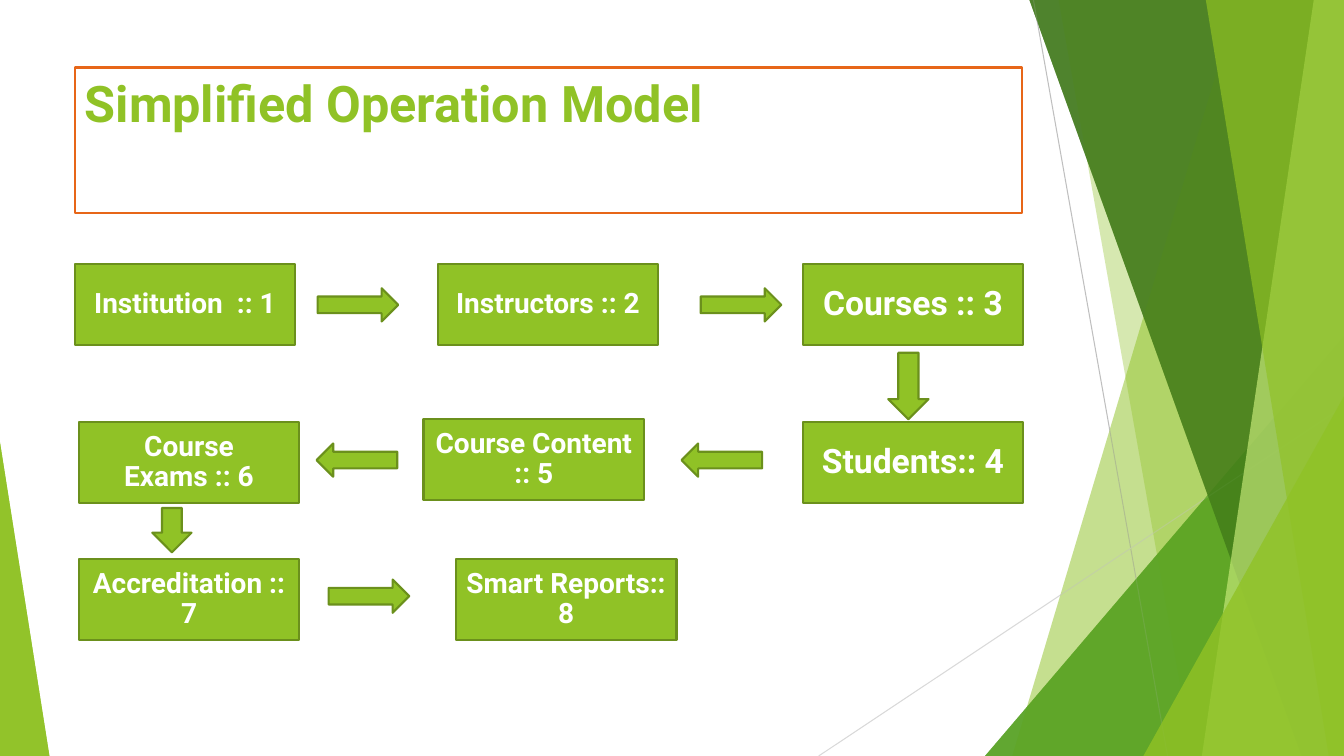
from lxml import etree
from pptx import Presentation
from pptx.dml.color import RGBColor
from pptx.enum.shapes import MSO_CONNECTOR, MSO_SHAPE
from pptx.enum.text import MSO_ANCHOR, MSO_AUTO_SIZE, PP_ALIGN
from pptx.oxml.ns import qn
from pptx.util import Inches, Pt

RECTANGLE = MSO_SHAPE.RECTANGLE
TRIANGLE = MSO_SHAPE.ISOSCELES_TRIANGLE
RIGHT, LEFT, DOWN = MSO_SHAPE.RIGHT_ARROW, MSO_SHAPE.LEFT_ARROW, MSO_SHAPE.DOWN_ARROW
STRAIGHT = MSO_CONNECTOR.STRAIGHT
TOP, MIDDLE = MSO_ANCHOR.TOP, MSO_ANCHOR.MIDDLE
ALIGN_LEFT, ALIGN_CENTER = PP_ALIGN.LEFT, PP_ALIGN.CENTER
NO_AUTOFIT = MSO_AUTO_SIZE.NONE

WHITE = RGBColor(0xFF, 0xFF, 0xFF)
GREEN = RGBColor(0x90, 0xC2, 0x26)
LEAF = RGBColor(0x54, 0xA0, 0x21)
FOREST = RGBColor(0x3F, 0x78, 0x19)
LIME = RGBColor(0xC0, 0xE4, 0x74)
OLIVE = RGBColor(0x6B, 0x90, 0x1C)
ORANGE = RGBColor(0xE7, 0x66, 0x18)
GRAY = RGBColor(0xBF, 0xBF, 0xBF)
LIGHT_GRAY = RGBColor(0xD9, 0xD9, 0xD9)

FONT = "Roboto"
SLIDE_WIDTH, SLIDE_HEIGHT = 13.33, 7.5
SLIDE_BOX = (0, 0, SLIDE_WIDTH, SLIDE_HEIGHT)
TITLE_BOX = (0.74, 0.67, 9.4, 1.44)
FLOW_BOX = (0.74, 2.62, 9.41, 3.73)

STEP_SIZE = (2.19, 0.8)
ARROW_SIZE = (0.8, 0.33)

BANDS = [
    (12.28, 10.04, GREEN, 30),
    (10.5, 11.83, GREEN, 20),
    (None, (9.77, 3.33, 3.56, 4.17, 1), LEAF, 72),
    (10.21, 12.91, FOREST, 70),
    (13.03, 11.92, LIME, 70),
    (11.96, 13.18, GREEN, 65),
    (None, (11.34, 3.93, 1.99, 3.57, 1), GREEN, 80),
    (None, (0, 4.39, 0.49, 3.11, 0), GREEN, 85),
]
RAYS = [
    (10.25, 0, 11.58, 7.5, GRAY),
    (13.33, 4.03, 8.12, 7.5, LIGHT_GRAY),
]
STEPS = [
    (0, 0, "Institution  :: 1", 20),
    (3.6, 0, "Instructors :: 2", 20),
    (7.22, 0, "Courses :: 3", 24),
    (7.22, 1.57, "Students:: 4", 24),
    (3.46, 1.54, "Course Content :: 5", 20),
    (0.04, 1.57, "Course Exams :: 6", 20),
    (0.04, 2.93, "Accreditation :: 7", 20),
    (3.78, 2.93, "Smart Reports:: 8", 20),
]
ARROWS = [
    (RIGHT, 2.41, 0.24, ARROW_SIZE),
    (RIGHT, 6.21, 0.24, ARROW_SIZE),
    (DOWN, 8.07, 0.88, (0.4, 0.66)),
    (LEFT, 6.02, 1.78, ARROW_SIZE),
    (LEFT, 2.4, 1.78, ARROW_SIZE),
    (DOWN, 0.77, 2.42, (0.39, 0.44)),
    (RIGHT, 2.52, 3.13, ARROW_SIZE),
]


def paint(shape, fill, line=None, opacity=100):
    """Give a shape its fill, opacity and outline."""
    shape.shadow.inherit = False
    shape.fill.solid()
    shape.fill.fore_color.rgb = fill
    if opacity < 100:
        color = shape.element.spPr.find(qn("a:solidFill")).find(qn("a:srgbClr"))
        etree.SubElement(color, qn("a:alpha")).set("val", str(opacity * 1000))
    if line is None:
        shape.line.fill.background()
    else:
        shape.line.color.rgb = line
        shape.line.width = Pt(1.5)


def write(shape, text, size, color, alignment, anchor, spacing):
    """Set one bold paragraph in a shape."""
    frame = shape.text_frame
    frame.text = text
    frame.word_wrap = True
    frame.auto_size = NO_AUTOFIT
    frame.vertical_anchor = anchor
    paragraph = frame.paragraphs[0]
    paragraph.alignment = alignment
    paragraph.line_spacing = spacing
    paragraph.space_before = Pt(0)
    paragraph.space_after = Pt(6)
    font = paragraph.runs[0].font
    font.name, font.size, font.bold = FONT, Pt(size), True
    font.color.rgb = color


def add_preset(slide, kind, left, top, width, height):
    """Add a preset shape measured in inches."""
    return slide.shapes.add_shape(
        kind, Inches(left), Inches(top), Inches(width), Inches(height))


def add_bands(slide, box):
    """Layer the translucent bands and corner triangles over the box."""
    left, top, width, height = box
    right, bottom = left + width, top + height
    for upper, lower, color, opacity in BANDS:
        if upper is None:
            x, y, w, h, apex = lower
            shape = add_preset(slide, TRIANGLE, left + x, top + y, w, h)
            shape.adjustments[0] = apex
        else:
            corners = [(right, top), (right, bottom), (left + lower, bottom)]
            builder = slide.shapes.build_freeform(Inches(left + upper), Inches(top))
            builder.add_line_segments([(Inches(x), Inches(y)) for x, y in corners])
            shape = builder.convert_to_shape()
        paint(shape, color, opacity=opacity)


def add_rays(slide, box):
    """Draw the thin gray lines crossing the box."""
    left, top = box[:2]
    for x1, y1, x2, y2, color in RAYS:
        ray = slide.shapes.add_connector(
            STRAIGHT, Inches(left + x1), Inches(top + y1),
            Inches(left + x2), Inches(top + y2))
        ray.line.color.rgb = color
        ray.line.width = Pt(0.75)
        etree.SubElement(ray.element.spPr, qn("a:effectLst"))


def add_backdrop(slide, box):
    """Build the backdrop with bands below and above the rays."""
    add_bands(slide, box)
    add_rays(slide, box)
    add_bands(slide, box)


def add_title(slide, box):
    """Place the framed title in the box."""
    title = slide.shapes.title
    title.left, title.top, title.width, title.height = map(Inches, box)
    title.fill.solid()
    title.fill.fore_color.rgb = WHITE
    title.line.color.rgb = ORANGE
    title.line.width = Pt(1.5)
    write(title, "Simplified Operation Model", 36, GREEN, ALIGN_LEFT, TOP, 1.0)


def add_flow(slide, box):
    """Place the numbered steps and the arrows between them."""
    left, top = box[:2]
    for x, y, label, size in STEPS:
        step = add_preset(slide, RECTANGLE, left + x, top + y, *STEP_SIZE)
        paint(step, GREEN, OLIVE)
        write(step, label, size, WHITE, ALIGN_CENTER, MIDDLE, 0.9)
    for kind, x, y, arrow_size in ARROWS:
        arrow = add_preset(slide, kind, left + x, top + y, *arrow_size)
        paint(arrow, GREEN, OLIVE)


def main():
    """Build and save the slide."""
    presentation = Presentation()
    presentation.slide_width = Inches(SLIDE_WIDTH)
    presentation.slide_height = Inches(SLIDE_HEIGHT)
    slide = presentation.slides.add_slide(presentation.slide_layouts[5])
    add_backdrop(slide, SLIDE_BOX)
    add_title(slide, TITLE_BOX)
    add_flow(slide, FLOW_BOX)
    presentation.save("out.pptx")


if __name__ == "__main__":
    main()
